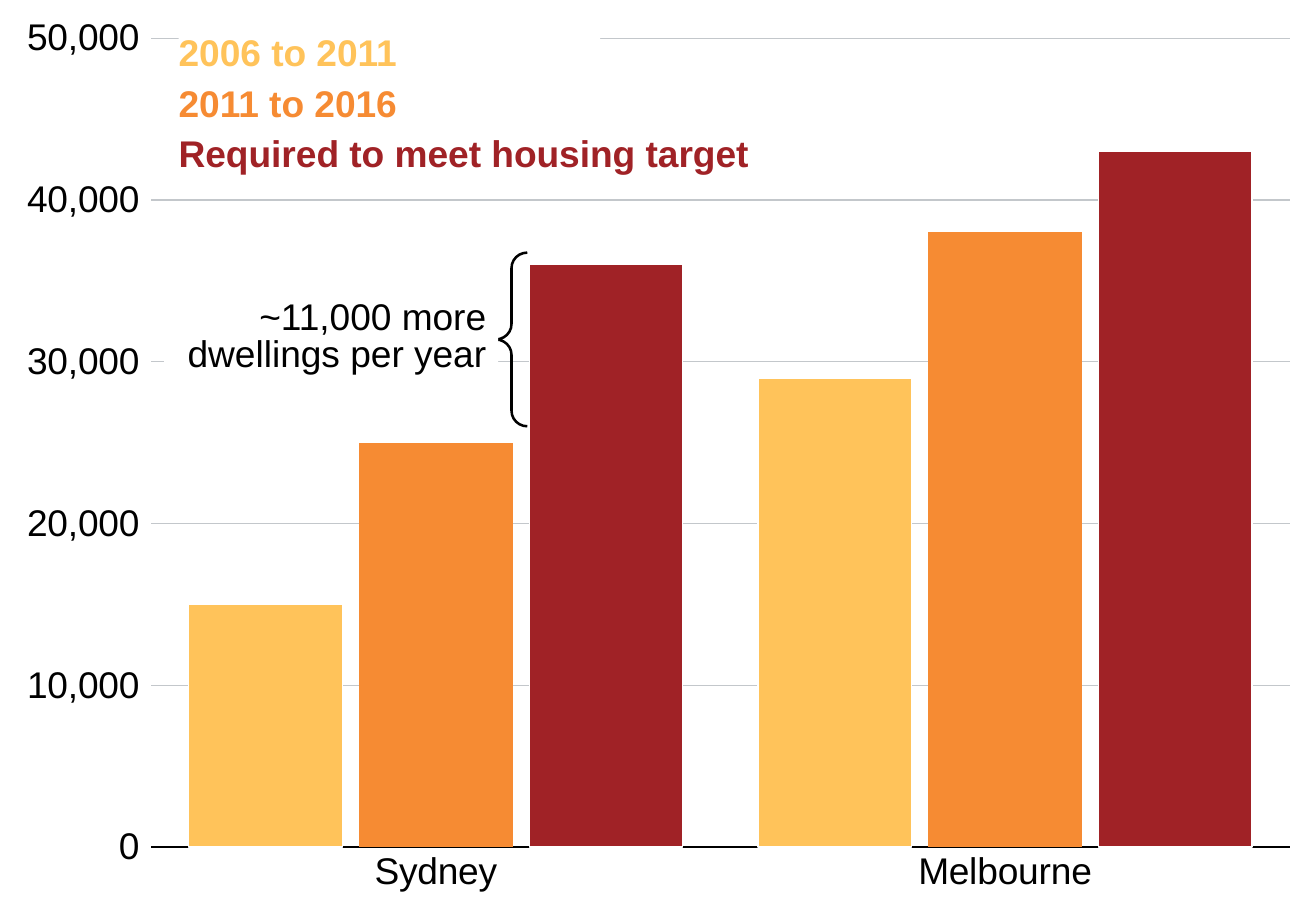
import pptx
import pptx.util
import pptx.chart.data
import pptx.dml.color
import pptx.enum.chart
import pptx.enum.shapes
import pptx.enum.text
import pptx.oxml
import pptx.oxml.ns

W, H = 10.83, 7.5
FONT = "Arial"
BLACK, WHITE, GRID = "000000", "FFFFFF", "C3C7CB"

# Content
CITIES = ["Sydney", "Melbourne"]
# legend text, dwellings per year, colour, bar outline, legend width
SERIES = [
    ("2006 to 2011", (15000, 29000), "FFC35A", WHITE, 3.47),
    ("2011 to 2016", (25000, 38000), "F68B33", None, 3.76),
    ("Required to meet housing target", (36000, 43000), "A02226", WHITE, 5.65),
]
NOTE = "~11,000 more dwellings per year"

# Plot area as shares of the slide; legend rows in inches
PLOT = {"x": 0.115, "y": 0.042, "w": 0.865, "h": 0.888}
LEGEND_LEFT, LEGEND_TOP, LEGEND_STEP, LEGEND_H = 1.47, 0.3, 0.415, 0.32
NOTE_BOX = (1.35, 2.42, 2.75, 0.74)
BRACE_BOX = (4.08, 2.08, 0.26, 1.43)


def rgb(value):
    return pptx.dml.color.RGBColor.from_string(value)


def inches(box):
    return [pptx.util.Inches(v) for v in box]


def set_all(obj, values):
    for name, value in values.items():
        setattr(obj, name, value)


def set_line(line, colour, width=0.75):
    if colour is None:
        line.fill.background()
    else:
        line.color.rgb = rgb(colour)
        line.width = pptx.util.Pt(width)


def set_font(font, colour, bold=False):
    set_all(font, {"name": FONT, "size": pptx.util.Pt(22), "bold": bold})
    font.color.rgb = rgb(colour)


def add_label(slide, box, text, colour, bold=False, align=None, inset=None):
    sp = slide.shapes.add_textbox(*inches(box))
    sp.fill.solid()
    sp.fill.fore_color.rgb = rgb(WHITE)
    tf = sp.text_frame
    set_all(tf, {"word_wrap": True,
                 "auto_size": pptx.enum.text.MSO_AUTO_SIZE.SHAPE_TO_FIT_TEXT})
    if inset is not None:
        set_all(tf, {f"margin_{side}": inset
                     for side in ("left", "top", "right", "bottom")})
    p = tf.paragraphs[0]
    set_all(p, {"line_spacing": 0.85, "alignment": align})
    r = p.add_run()
    r.text = text
    set_font(r.font, colour, bold)


prs = pptx.Presentation()
prs.slide_width, prs.slide_height = inches((W, H))
slide = prs.slides.add_slide(prs.slide_layouts[6])

# Column chart
data = pptx.chart.data.CategoryChartData(number_format="#,##0")
data.categories = CITIES
for name, values, *_ in SERIES:
    data.add_series(name, values)
chart = slide.shapes.add_chart(
    pptx.enum.chart.XL_CHART_TYPE.COLUMN_CLUSTERED, *inches((0, 0, W, H)), data).chart
set_all(chart, {"has_legend": False, "has_title": False})
set_font(chart.font, BLACK)

plot = chart.plots[0]
set_all(plot, {"gap_width": 49, "overlap": -11, "vary_by_categories": False})
for series, (_, _, colour, outline, _) in zip(plot.series, SERIES):
    series.format.fill.solid()
    series.format.fill.fore_color.rgb = rgb(colour)
    set_line(series.format.line, outline)

# Axes
tick = pptx.enum.chart.XL_TICK_MARK
cat, val = chart.category_axis, chart.value_axis
set_all(cat, {"major_tick_mark": tick.NONE, "has_major_gridlines": False})
set_all(val, {"major_tick_mark": tick.OUTSIDE, "has_major_gridlines": True,
              "minimum_scale": 0, "maximum_scale": 50000, "major_unit": 10000})
set_all(val.tick_labels, {"number_format": "#,##0", "number_format_is_linked": False})
set_line(val.major_gridlines.format.line, GRID)
for axis, colour in ((cat, BLACK), (val, None)):
    set_line(axis.format.line, colour)
    set_font(axis.tick_labels.font, BLACK)

# Fixed inner plot area
ns = pptx.oxml.ns.nsdecls("c")
parts = '<c:layoutTarget val="inner"/>'
parts += "".join(f'<c:{k}Mode val="edge"/>' for k in "xy")
parts += "".join(f'<c:{k} val="{v}"/>' for k, v in PLOT.items())
area = chart.element.find(".//" + pptx.oxml.ns.qn("c:plotArea"))
for old in area.findall(pptx.oxml.ns.qn("c:layout")):
    area.remove(old)
area.insert(0, pptx.oxml.parse_xml(
    f"<c:layout {ns}><c:manualLayout>{parts}</c:manualLayout></c:layout>"))

# Legend, lowest row at the back
for row, (name, _, colour, _, width) in reversed(list(enumerate(SERIES))):
    box = (LEGEND_LEFT, LEGEND_TOP + row * LEGEND_STEP, width, LEGEND_H)
    add_label(slide, box, name, colour, bold=True, inset=0)

# Brace and note on the gap
brace = slide.shapes.add_shape(
    pptx.enum.shapes.MSO_SHAPE.LEFT_BRACE, *inches(BRACE_BOX))
brace.shadow.inherit = False
brace.fill.background()
set_line(brace.line, BLACK, 1.5)
brace.adjustments[0], brace.adjustments[1] = 0.49, 0.5
add_label(slide, NOTE_BOX, NOTE, BLACK, align=pptx.enum.text.PP_ALIGN.RIGHT)

prs.save("out.pptx")
